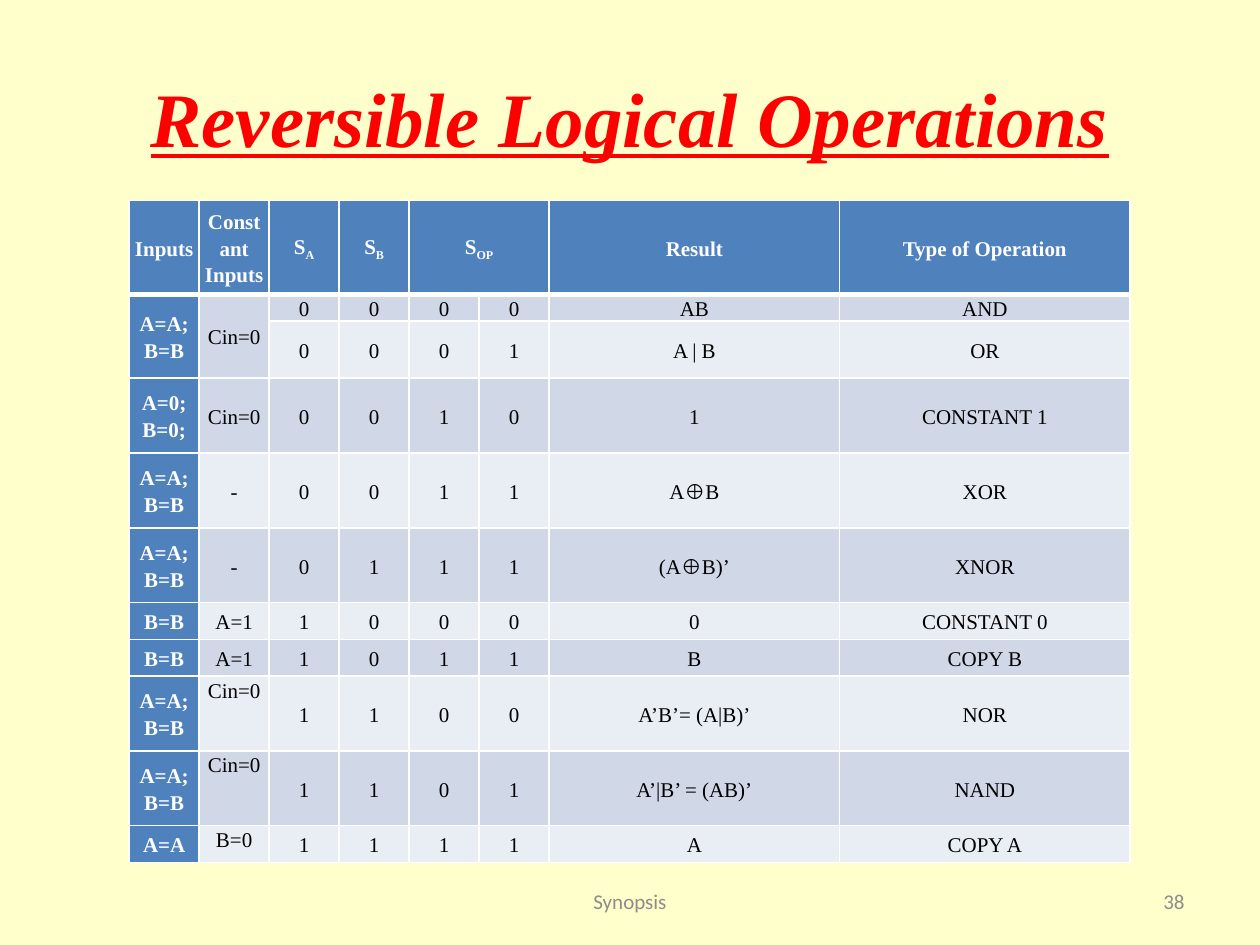
import pptx
import pptx.util
import pptx.dml.color
import pptx.enum.text
import lxml.etree
from pptx.oxml.ns import qn

Pt = pptx.util.Pt
ALIGN = pptx.enum.text.PP_ALIGN
ANCHOR = pptx.enum.text.MSO_ANCHOR

SERIF = "Times New Roman"
WHITE, BLACK, GREY, RED = "FFFFFF", "000000", "8C8C8C", "FF0000"
BLUE, BANDS = "4F81BD", ("D0D8E8", "E9EDF4")

TITLE = "Reversible Logical Operations"
FOOTERS = [
    ("Synopsis", 246, 228, ALIGN.CENTER),
    ("38", 516, 168, ALIGN.RIGHT),
]
HEADINGS = ["Inputs", "Constant Inputs", ("S", "A"), ("S", "B"), ("S", "OP"), "",
            "Result", "Type of Operation"]
OPERATIONS = [
    ("A=A; B=B", "Cin=0", "0000", "AB", "AND"),
    ("", "", "0001", "A | B", "OR"),
    ("A=0; B=0;", "Cin=0", "0010", "1", "CONSTANT 1"),
    ("A=A; B=B", "-", "0011", "A⊕B", "XOR"),
    ("A=A; B=B", "-", "0111", "(A⊕B)’", "XNOR"),
    ("B=B", "A=1", "1000", "0", "CONSTANT 0"),
    ("B=B", "A=1", "1011", "B", "COPY B"),
    ("A=A; B=B", "Cin=0", "1100", "A’B’= (A|B)’", "NOR"),
    ("A=A; B=B", "Cin=0", "1101", "A’|B’ = (AB)’", "NAND"),
    ("A=A", "B=0", "1111", "A", "COPY A"),
]
COLUMN_WIDTHS = [40] * 6 + [166] * 2
SHORT, TALL = 20.9, 42.85
ROW_HEIGHTS = [53.7, 10, 32.4] + [TALL] * 3 + [SHORT] * 2 + [TALL] * 2 + [SHORT]
MERGES = [((0, 4), (0, 5)), ((1, 0), (2, 0)), ((1, 1), (2, 1))]
FIRST_TOP_ROW = 8


def rgb(code):
    return pptx.dml.color.RGBColor.from_string(code)


def write(frame, text, size=12, font=SERIF, color=BLACK, bold=False, italic=False,
          underline=False, align=ALIGN.CENTER, spacing=None):
    frame.word_wrap = True
    paragraph = frame.paragraphs[0]
    paragraph.alignment = align
    if spacing:
        paragraph.line_spacing = spacing
    base, subscript = text if isinstance(text, tuple) else (text, "")
    for part in filter(None, (base, subscript)):
        run = paragraph.add_run()
        run.text = part
        run.font.size = Pt(size)
        run.font.name = font
        run.font.bold = bold
        run.font.italic = italic
        run.font.underline = underline
        run.font.color.rgb = rgb(color)
        if part is subscript:
            run.font._element.set("baseline", "-25000")


def set_border(cell, side, width):
    line = lxml.etree.SubElement(cell._tc.get_or_add_tcPr(), qn("a:ln" + side),
                                 w=str(Pt(width)))
    fill = lxml.etree.SubElement(line, qn("a:solidFill"))
    lxml.etree.SubElement(fill, qn("a:srgbClr"), val=WHITE)


def format_cell(cell, row, column, text):
    heading = row == 0 or column == 0
    cell.margin_left = cell.margin_right = Pt(2.16)
    cell.margin_top = cell.margin_bottom = 0
    top = column == 1 and row >= FIRST_TOP_ROW
    cell.vertical_anchor = ANCHOR.TOP if top else ANCHOR.MIDDLE
    for side in "LRTB":
        under_header = (row, side) in ((0, "B"), (1, "T"))
        set_border(cell, side, 3 if under_header else 1)
    cell.fill.solid()
    cell.fill.fore_color.rgb = rgb(BLUE if heading else BANDS[(row - 1) % 2])
    if text:
        write(cell.text_frame, text, color=WHITE if heading else BLACK,
              bold=heading, spacing=1.15)


def add_operations(slide):
    rows = [HEADINGS] + [[inputs, constant, *bits, result, kind]
                         for inputs, constant, bits, result, kind in OPERATIONS]
    operations = slide.shapes.add_table(
        len(rows), len(HEADINGS), Pt(73.8), Pt(114.5),
        Pt(sum(COLUMN_WIDTHS)), Pt(sum(ROW_HEIGHTS))).table
    operations.horz_banding = False
    for column, width in zip(operations.columns, COLUMN_WIDTHS):
        column.width = Pt(width)
    for row, height in zip(operations.rows, ROW_HEIGHTS):
        row.height = Pt(height)
    for r, texts in enumerate(rows):
        for c, text in enumerate(texts):
            format_cell(operations.cell(r, c), r, c, text)
    for first, last in MERGES:
        operations.cell(*first).merge(operations.cell(*last))


def main():
    deck = pptx.Presentation()
    deck.slide_width, deck.slide_height = Pt(720), Pt(540)
    slide = deck.slides.add_slide(deck.slide_layouts[5])
    slide.background.fill.solid()
    slide.background.fill.fore_color.rgb = rgb("FFFFCC")

    title = slide.shapes.title
    title.left, title.top, title.width, title.height = Pt(36), Pt(21.6), Pt(648), Pt(90)
    title.text_frame.vertical_anchor = ANCHOR.MIDDLE
    write(title.text_frame, TITLE, size=44, color=RED, bold=True, italic=True,
          underline=True)

    add_operations(slide)

    for text, left, width, align in FOOTERS:
        footer = slide.shapes.add_textbox(Pt(left), Pt(500.5), Pt(width), Pt(28.75))
        footer.text_frame.vertical_anchor = ANCHOR.MIDDLE
        write(footer.text_frame, text, font="Calibri", color=GREY, align=align)

    deck.save("out.pptx")


if __name__ == "__main__":
    main()
